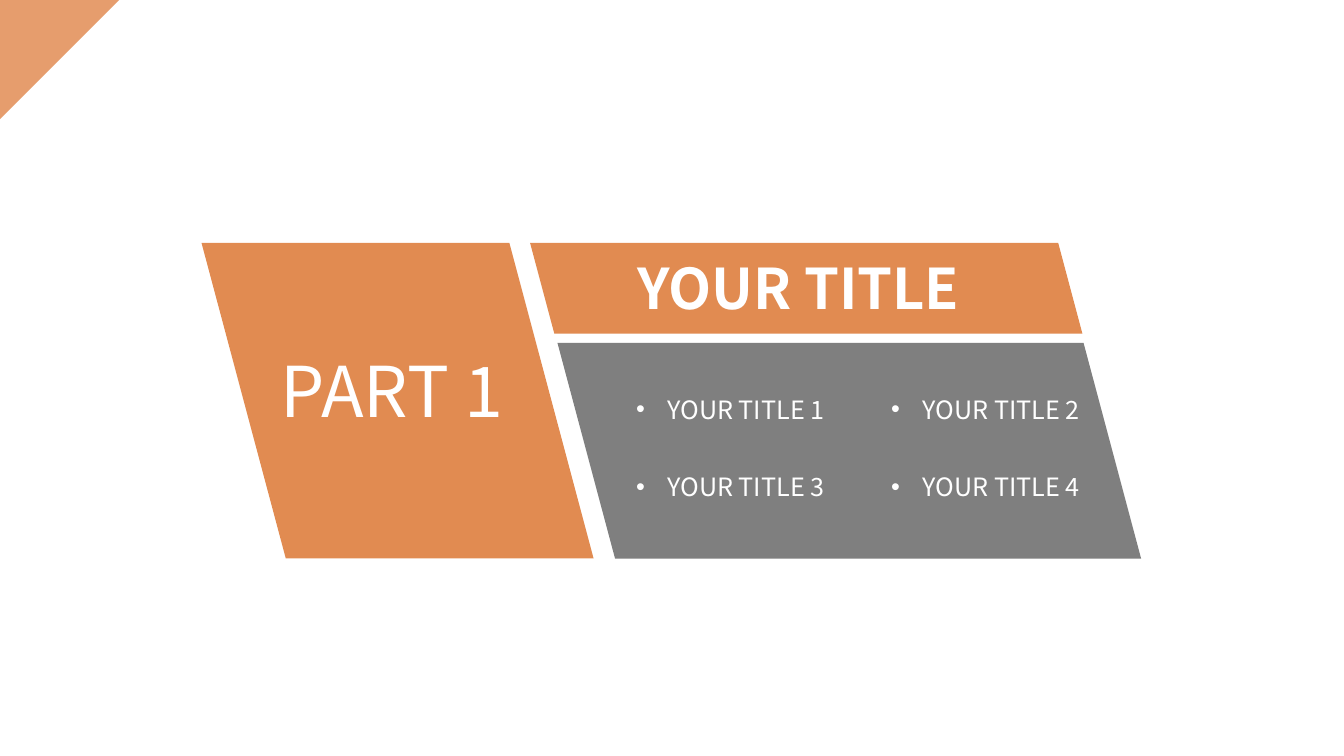
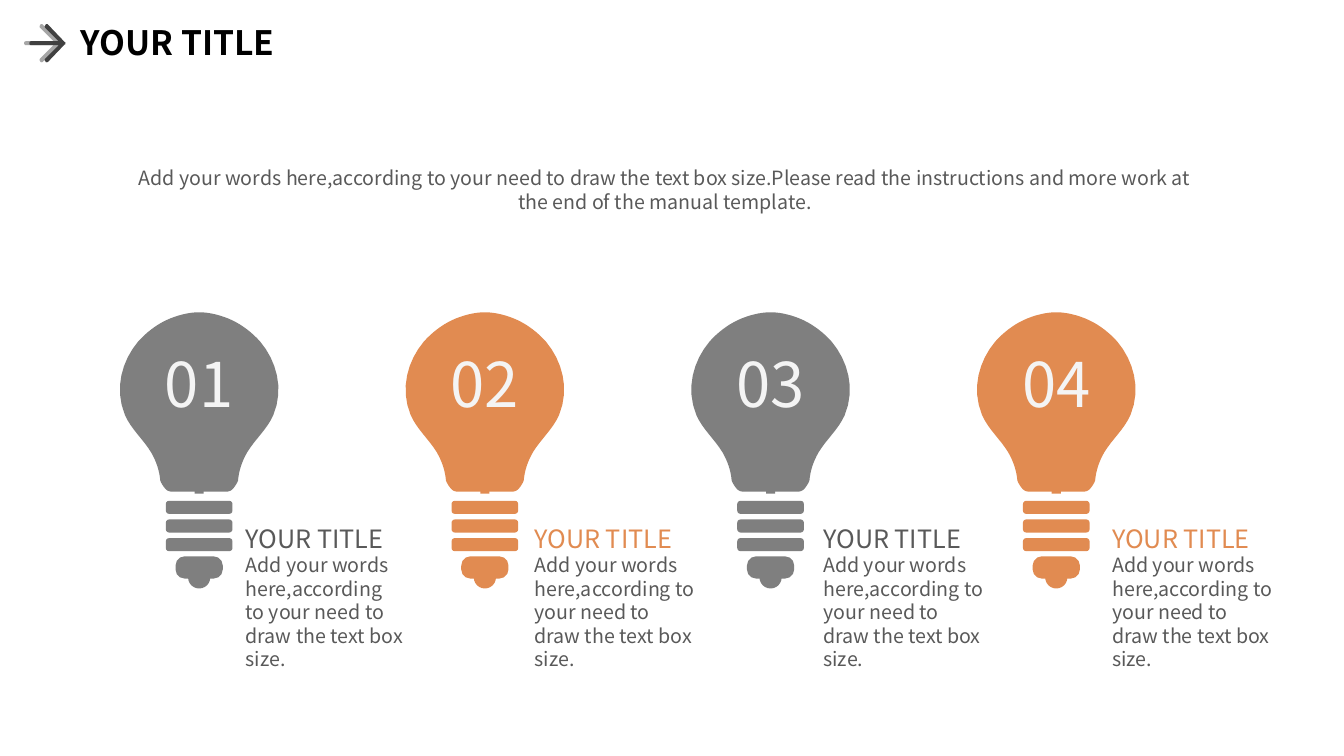
from lxml import etree
from pptx import Presentation
from pptx.dml.color import RGBColor
from pptx.enum.shapes import MSO_SHAPE
from pptx.enum.text import MSO_ANCHOR, MSO_AUTO_SIZE, PP_ALIGN
from pptx.oxml.ns import qn
from pptx.util import Cm, Pt

ORANGE = RGBColor(0xE1, 0x8B, 0x51)
LIGHT_ORANGE = RGBColor(0xE6, 0x9D, 0x6D)
GRAY = RGBColor(0x7F, 0x7F, 0x7F)
LIGHT_GRAY = RGBColor(0xA6, 0xA6, 0xA6)
CHARCOAL = RGBColor(0x40, 0x40, 0x40)
TEXT_GRAY = RGBColor(0x59, 0x59, 0x59)
NUMBER_WHITE = RGBColor(0xF4, 0xF4, 0xF4)
WHITE = RGBColor(0xFF, 0xFF, 0xFF)
BLACK = RGBColor(0x00, 0x00, 0x00)

FONT = "Noto Sans CJK SC"
LEFT, CENTER = PP_ALIGN.LEFT, PP_ALIGN.CENTER
TOP = MSO_ANCHOR.TOP
NO_AUTOFIT = MSO_AUTO_SIZE.NONE
PARALLELOGRAM = MSO_SHAPE.PARALLELOGRAM
RIGHT_TRIANGLE = MSO_SHAPE.RIGHT_TRIANGLE
ROUNDED = MSO_SHAPE.ROUNDED_RECTANGLE
RECTANGLE, OVAL = MSO_SHAPE.RECTANGLE, MSO_SHAPE.OVAL
TITLE_ONLY = 5

BODY = "Add your words here,according to your need to draw the text box size."
INTRO = ("Add your words here,according to your need to draw the text box size."
         "Please read the instructions and more work at the end of the manual template.")

ARROW_HALF = [
    [(0.91, 0)], [(0.91, 0.03), (0.91, 0.03), (0.89, 0.03)], [(0.48, 0.46)],
    [(0.46, 0.48), (0.46, 0.48), (0.43, 0.48)],
    [(0.42, 0.48), (0.41, 0.48), (0.41, 0.46)],
    [(0.38, 0.43), (0.38, 0.41), (0.41, 0.38)],
    [(0.74, 0.05)], [(0.05, 0.05)], [(0.02, 0.05), (0, 0.03), (0, 0)],
]
BULB_HALF = [
    [(4.52, 0)], [(4.52, 0.67)],
    [(4.52, 0.75), (4.5, 0.8), (4.45, 0.85)],
    [(4.39, 0.9), (4.32, 0.95), (4.24, 0.98)],
    [(3.99, 1), (3.76, 1.08), (3.53, 1.21)],
    [(3.2, 1.41), (2.95, 1.71), (2.59, 1.87)],
    [(1.91, 2.15), (1.22, 1.94), (0.74, 1.54)],
    [(0.51, 1.33), (0.33, 1.1), (0.2, 0.83)],
    [(0.08, 0.57), (0, 0.27), (0, 0)],
]
BULB_FITTINGS = [
    (RECTANGLE, 0.23, 4.5, 0.07, None),
    *[(ROUNDED, 1.68, 4.75 + 0.47 * ring, 0.33, 0.25) for ring in range(3)],
    (ROUNDED, 1.19, 6.15, 0.56, 0.41),
    (OVAL, 0.56, 6.4, 0.56, None),
]


def paint(shape, color):
    """Give a shape a plain fill without line or shadow."""
    shape.shadow.inherit = False
    shape.fill.solid()
    shape.fill.fore_color.rgb = color
    shape.line.fill.background()


def add_block(shapes, kind, left, top, width, height, color, adjustment=None):
    """Add a filled preset shape."""
    block = shapes.add_shape(kind, Cm(left), Cm(top), Cm(width), Cm(height))
    if adjustment is not None:
        block.adjustments[0] = adjustment
    paint(block, color)
    return block


def style(paragraph, size, color, bold=False, align=LEFT):
    """Format one paragraph."""
    paragraph.alignment = align
    font = paragraph.font
    font.name, font.size, font.bold = FONT, Pt(size), bold
    font.color.rgb = color


def add_text(shapes, box, lines, size, color, align=LEFT):
    """Add a wrapping text box and return its paragraphs."""
    frame = shapes.add_textbox(*map(Cm, box)).text_frame
    frame.word_wrap = True
    frame.text = lines
    for paragraph in frame.paragraphs:
        style(paragraph, size, color, align=align)
    return frame.paragraphs


def place_title(slide, box, size, color):
    """Move the title placeholder in front of earlier shapes and format it."""
    title = slide.shapes.title
    title.element.getparent().append(title.element)
    title.left, title.top, title.width, title.height = map(Cm, box)
    frame = title.text_frame
    frame.text = "YOUR TITLE"
    frame.word_wrap = True
    frame.auto_size = NO_AUTOFIT
    frame.vertical_anchor = TOP
    style(frame.paragraphs[0], size, color, bold=True)


def trace(half, steps=8):
    """Turn single points (straight) and point triples (cubic curves) into a polyline."""
    points = []
    for segment in half:
        if len(segment) == 1:
            points += segment
            continue
        controls = [points[-1], *segment]
        for step in range(1, steps + 1):
            t = step / steps
            weights = ((1 - t) ** 3, 3 * t * (1 - t) ** 2, 3 * t * t * (1 - t), t ** 3)
            points.append(tuple(sum(w * point[axis] for w, point in zip(weights, controls))
                                for axis in (0, 1)))
    return points


def add_symmetric(shapes, half, left, top, color, upright):
    """Draw a half outline of (along, across) points and its mirror as one freeform."""
    side = trace(half)
    outline = side + [(along, -across) for along, across in reversed(side[1:-1])]
    points = [(across, along) if upright else (along, across) for along, across in outline]
    points = [(Cm(left + x), Cm(top + y)) for x, y in points]
    builder = shapes.build_freeform(*points[0])
    builder.add_line_segments(points[1:], close=True)
    paint(builder.convert_to_shape(), color)


def add_bullet(paragraph):
    """Give a paragraph a round bullet with a hanging indent."""
    properties = paragraph._p.get_or_add_pPr()
    properties.set("marL", str(Cm(0.79)))
    properties.set("indent", str(-Cm(0.79)))
    properties.insert(0, etree.Element(qn("a:buFont"), typeface="Arial"))
    properties.insert(1, etree.Element(qn("a:buChar"), char="•"))


def add_slanted(shapes, left, top, width, height, color):
    """Add a parallelogram leaning to the left."""
    block = add_block(shapes, PARALLELOGRAM, left, top, width, height, color, 0.267)
    block.element.spPr.xfrm.set("flipH", "1")


def add_contents(shapes, left, top):
    """Add the gray panel with its two by two list."""
    add_slanted(shapes, left, top, 14.71, 5.44, GRAY)
    for index in range(4):
        row, column = divmod(index, 2)
        box = (left + 1.73 + 6.43 * column, top + 1.16 + 1.96 * row, 5.5, 1.02)
        add_bullet(add_text(shapes, box, f"YOUR TITLE {index + 1}", 18, WHITE)[0])


def build_section(slide, left, top):
    """Build the section opener."""
    shapes = slide.shapes
    add_block(shapes, RIGHT_TRIANGLE, 0, 0, 3, 3, LIGHT_ORANGE).rotation = 90
    add_slanted(shapes, left, top, 9.88, 7.95, ORANGE)
    add_text(shapes, (left + 1.75, top + 2.52, 6.35, 2.39), "PART 1", 50, WHITE)
    add_slanted(shapes, left + 8.28, top, 13.92, 2.29, ORANGE)
    place_title(slide, (left + 10.72, top + 0.15, 9.2, 1.96), 40, WHITE)
    add_contents(shapes, left + 8.97, top + 2.52)


def add_header(slide, left, top):
    """Add the double arrow and the slide title."""
    place_title(slide, (left + 1.17, top - 0.66, 7.62, 1.27), 24, BLACK)
    for shift, color in ((0, LIGHT_GRAY), (0.13, CHARCOAL)):
        add_symmetric(slide.shapes, ARROW_HALF, left + shift, top, color, upright=False)


def add_bulb(slide, center, top, number, color):
    """Add a numbered light bulb around a vertical axis."""
    shapes = slide.shapes.add_group_shape().shapes
    add_symmetric(shapes, BULB_HALF, center, top, color, upright=True)
    for kind, width, offset, height, adjustment in BULB_FITTINGS:
        add_block(shapes, kind, center - width / 2, top + offset, width, height,
                  color, adjustment)
    add_text(slide.shapes, (center - 1.65, top + 0.73, 3.3, 2.13), number, 44,
             NUMBER_WHITE, CENTER)


def add_caption(slide, left, top, width, color):
    """Add a coloured heading with its description."""
    heading, _ = add_text(slide.shapes, (left, top, width, 4.78),
                          f"YOUR TITLE\n{BODY}", 14, TEXT_GRAY)
    style(heading, 18, color)
    heading.line_spacing = 2.0


def build_bulbs(slide, left, top):
    """Build the slide with four light bulbs."""
    add_header(slide, 0.61, 1.09)
    add_text(slide.shapes, (2.84, 4.06, 27.84, 1.45), INTRO, 14, TEXT_GRAY, CENTER)
    bulbs = [(GRAY, TEXT_GRAY, 4.5), (ORANGE, ORANGE, 4.55),
             (GRAY, TEXT_GRAY, 4.55), (ORANGE, ORANGE, 4.55)]
    for index, (color, heading_color, width) in enumerate(bulbs):
        add_bulb(slide, left + 2 + 7.2 * index, top, f"{index + 1:02}", color)
        add_caption(slide, left + 2.92 + 7.28 * index, top + 4.42, width, heading_color)


def main():
    """Build and save the presentation."""
    presentation = Presentation()
    presentation.slide_width, presentation.slide_height = Cm(33.87), Cm(19.05)
    layout = presentation.slide_layouts[TITLE_ONLY]
    build_section(presentation.slides.add_slide(layout), 5.08, 6.12)
    build_bulbs(presentation.slides.add_slide(layout), 3.02, 7.87)
    presentation.save("out.pptx")


if __name__ == "__main__":
    main()
